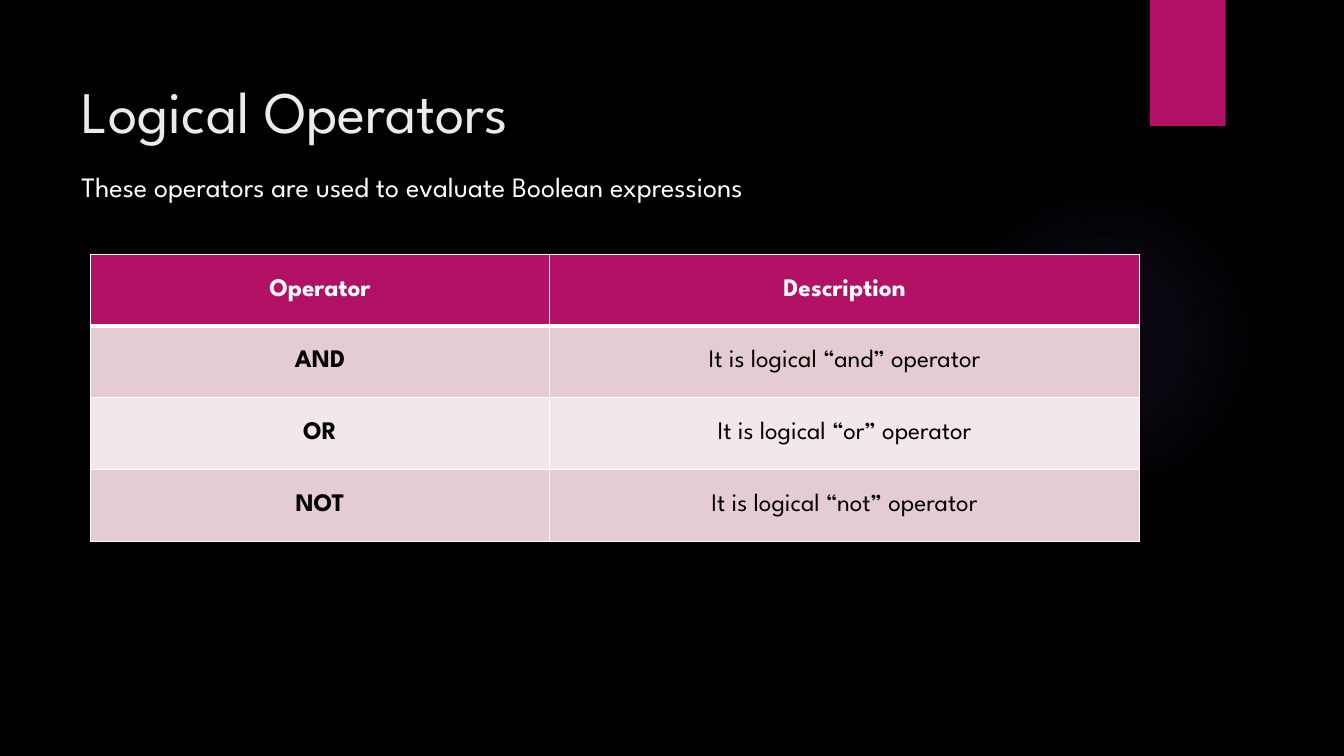
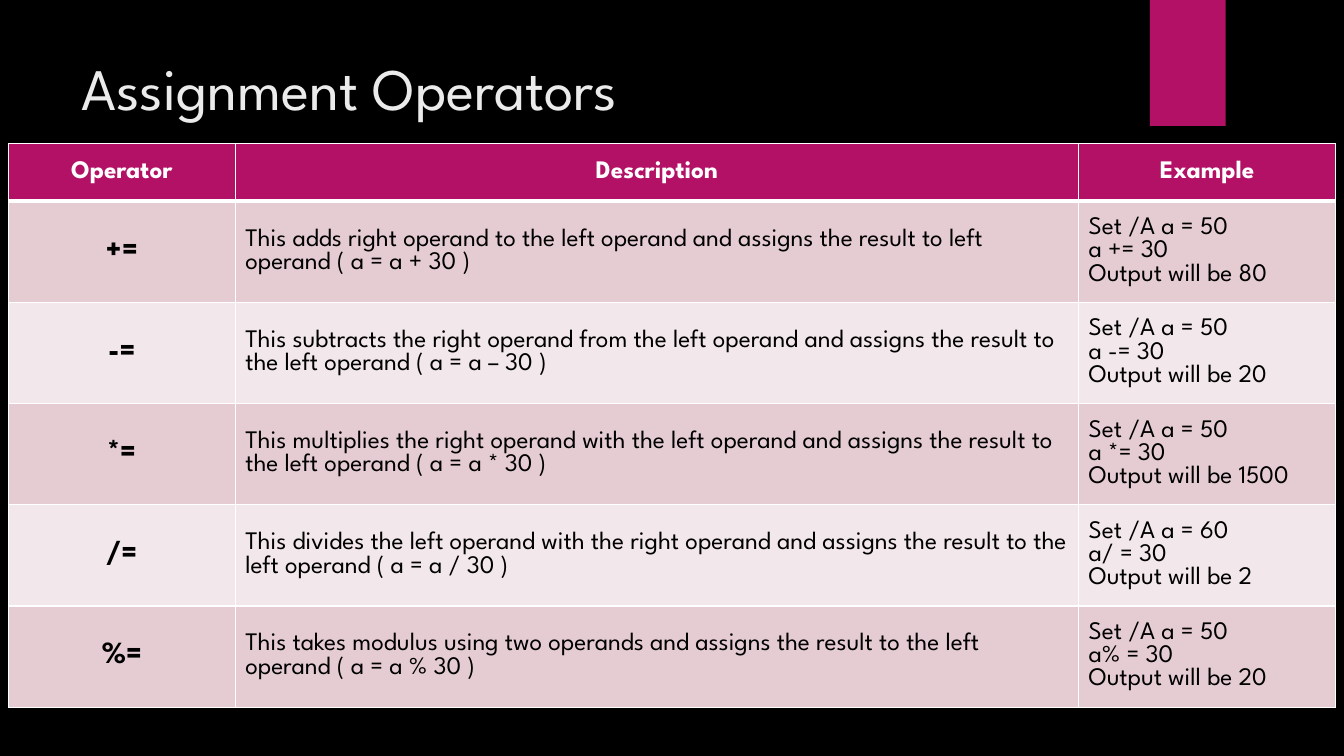
from dataclasses import dataclass

from pptx import Presentation
from pptx.dml.color import RGBColor
from pptx.enum.shapes import MSO_SHAPE
from pptx.enum.text import MSO_ANCHOR, PP_ALIGN
from pptx.oxml import parse_xml
from pptx.util import Inches, Pt

RECT, OVAL = MSO_SHAPE.RECTANGLE, MSO_SHAPE.OVAL
LEFT, CENTER = PP_ALIGN.LEFT, PP_ALIGN.CENTER
TOP, MIDDLE = MSO_ANCHOR.TOP, MSO_ANCHOR.MIDDLE
NS = 'xmlns:a="http://schemas.openxmlformats.org/drawingml/2006/main"'
COLS, ROWS = 160, 90  # the slide as a grid of square units


@dataclass(frozen=True)
class Theme:
    font: str = "League Spartan"
    back: str = "000000"
    ink: str = "000000"
    white: str = "FFFFFF"
    title: str = "EBEBEB"
    accent: str = "B31166"
    glow: str = "9B6BF2"
    bands: tuple = ("E5CCD3", "F2E7EA")
    head_size: int = 42
    lead_size: int = 20
    cell_size: int = 18
    sign_size: int = 22
    thin: int = 1
    thick: int = 3


def rgb(code):
    return RGBColor.from_string(code)


def write(frame, text, *, font, size, color, bold=False, align=LEFT):
    """Fill a text frame, one paragraph for each line of text."""
    frame.word_wrap = True
    for i, line in enumerate(text.split("\n")):
        para = frame.paragraphs[0] if i == 0 else frame.add_paragraph()
        para.alignment = align
        run = para.add_run()
        run.text = line
        run.font.name = font
        run.font.size = Pt(size)
        run.font.bold = bold
        run.font.color.rgb = rgb(color)


class Deck:
    def __init__(self, theme):
        self.theme = theme
        self.prs = Presentation()
        self.prs.slide_width, self.prs.slide_height = Inches(13.333), Inches(7.5)
        self.unit = self.prs.slide_height / ROWS
        fill = self.prs.slide_master.background.fill
        fill.solid()
        fill.fore_color.rgb = rgb(theme.back)
        self.slide = None

    def span(self, *units):
        return [round(n * self.unit) for n in units]

    def page(self, title, top, height):
        """Start a slide with the shared glow, ribbon and title."""
        t = self.theme
        self.slide = self.prs.slides.add_slide(self.prs.slide_layouts[6])
        self.glow(112.9, 22, 37)
        self.block(136.9, 0, 9, 15)
        self.text(title, 8.5, top, 129.8, height, inset=2.9,
                  size=t.head_size, color=t.title)

    def shape(self, kind, *box):
        item = self.slide.shapes.add_shape(kind, *self.span(*box))
        item.shadow.inherit = False
        item.line.fill.background()
        return item

    def block(self, *box):
        item = self.shape(RECT, *box)
        item.fill.solid()
        item.fill.fore_color.rgb = rgb(self.theme.accent)

    def glow(self, left, top, size):
        item = self.shape(OVAL, left, top, size, size)
        item.fill.gradient()
        stops = "".join(
            f'<a:gs pos="{pos * 1000}"><a:srgbClr val="{self.theme.glow}">'
            f'<a:alpha val="{alpha * 1000}"/></a:srgbClr></a:gs>'
            for pos, alpha in ((0, 7), (36, 6), (69, 0)))
        grad = parse_xml(
            f'<a:gradFill {NS} rotWithShape="1"><a:gsLst>{stops}</a:gsLst>'
            '<a:path path="circle"><a:fillToRect l="50000" t="50000" '
            'r="50000" b="50000"/></a:path></a:gradFill>')
        props = item.fill._xPr
        props.replace(props.find("{*}gradFill"), grad)

    def text(self, text, *box, inset, **style):
        frame = self.slide.shapes.add_textbox(*self.span(*box)).text_frame
        frame.vertical_anchor = TOP
        frame.margin_top, = self.span(inset)
        write(frame, text, font=self.theme.font, **style)

    def edge(self, cell, above, below):
        """Draw the four borders of a cell."""
        t = self.theme
        widths = {"L": t.thin, "R": t.thin, "T": above, "B": below}
        props = cell._tc.get_or_add_tcPr()
        for i, (side, width) in enumerate(widths.items()):
            props.insert(i, parse_xml(
                f'<a:ln{side} {NS} w="{Pt(width)}"><a:solidFill>'
                f'<a:srgbClr val="{t.white}"/></a:solidFill></a:ln{side}>'))

    def table(self, rows, left, top, widths, head, body, sign, align):
        """Draw a head row and banded rows; sign sizes the first column."""
        t = self.theme
        tall = [head] + [body] * (len(rows) - 1)
        grid = self.slide.shapes.add_table(
            len(rows), len(widths),
            *self.span(left, top, sum(widths), sum(tall))).table
        grid.horz_banding = grid.first_row = False
        for col, width in zip(grid.columns, self.span(*widths)):
            col.width = width
        for r, (row, height) in enumerate(zip(grid.rows, self.span(*tall))):
            row.height = height
            for c, cell in enumerate(row.cells):
                first, key = r == 0, c == 0
                cell.vertical_anchor = MIDDLE
                cell.fill.solid()
                cell.fill.fore_color.rgb = rgb(
                    t.accent if first else t.bands[(r - 1) % 2])
                self.edge(cell, t.thick if r == 1 else t.thin,
                          t.thick if first else t.thin)
                write(cell.text_frame, rows[r][c], font=t.font,
                      size=sign if key and not first else t.cell_size,
                      color=t.white if first else t.ink,
                      bold=first or key,
                      align=CENTER if first or key else align)


LOGIC = [("Operator", "Description")] + [
    (word, f"It is logical “{word.lower()}” operator")
    for word in ("AND", "OR", "NOT")]

ASSIGN = [
    ("Operator", "Description", "Example"),
    ("+=", "This adds right operand to the left operand and assigns the "
     "result to left operand ( a = a + 30 )",
     "Set /A a = 50\na += 30\nOutput will be 80"),
    ("-=", "This subtracts the right operand from the left operand and "
     "assigns the result to the left operand ( a = a – 30 )",
     "Set /A a = 50\na -= 30\nOutput will be 20"),
    ("*=", "This multiplies the right operand with the left operand and "
     "assigns the result to the left operand ( a = a * 30 )",
     "Set /A a = 50\na *= 30\nOutput will be 1500"),
    ("/=", "This divides the left operand with the right operand and "
     "assigns the result to the left operand ( a = a / 30 )",
     "Set /A a = 60\na/ = 30\nOutput will be 2"),
    ("%=", "This takes modulus using two operands and assigns the result "
     "to the left operand ( a = a % 30 )",
     "Set /A a = 50\na% = 30\nOutput will be 20"),
]


def main():
    theme = Theme()
    deck = Deck(theme)

    # Logical operators
    deck.page("Logical Operators", 6, 18.4)
    deck.text("These operators are used to evaluate Boolean expressions",
              8.5, 18.5, 123.5, 62.2, inset=1.7,
              size=theme.lead_size, color=theme.white)
    deck.table(LOGIC, 10.75, 30.25, (54.7, 70.2), 8.55, 8.55,
               sign=theme.cell_size, align=CENTER)

    # Assignment operators
    deck.page("Assignment Operators", 3.25, 11.9)
    deck.table(ASSIGN, 1, 17.1, (27, 100.4, 30.6), 6.85, 12.05,
               sign=theme.sign_size, align=LEFT)

    deck.prs.save("out.pptx")


if __name__ == "__main__":
    main()
